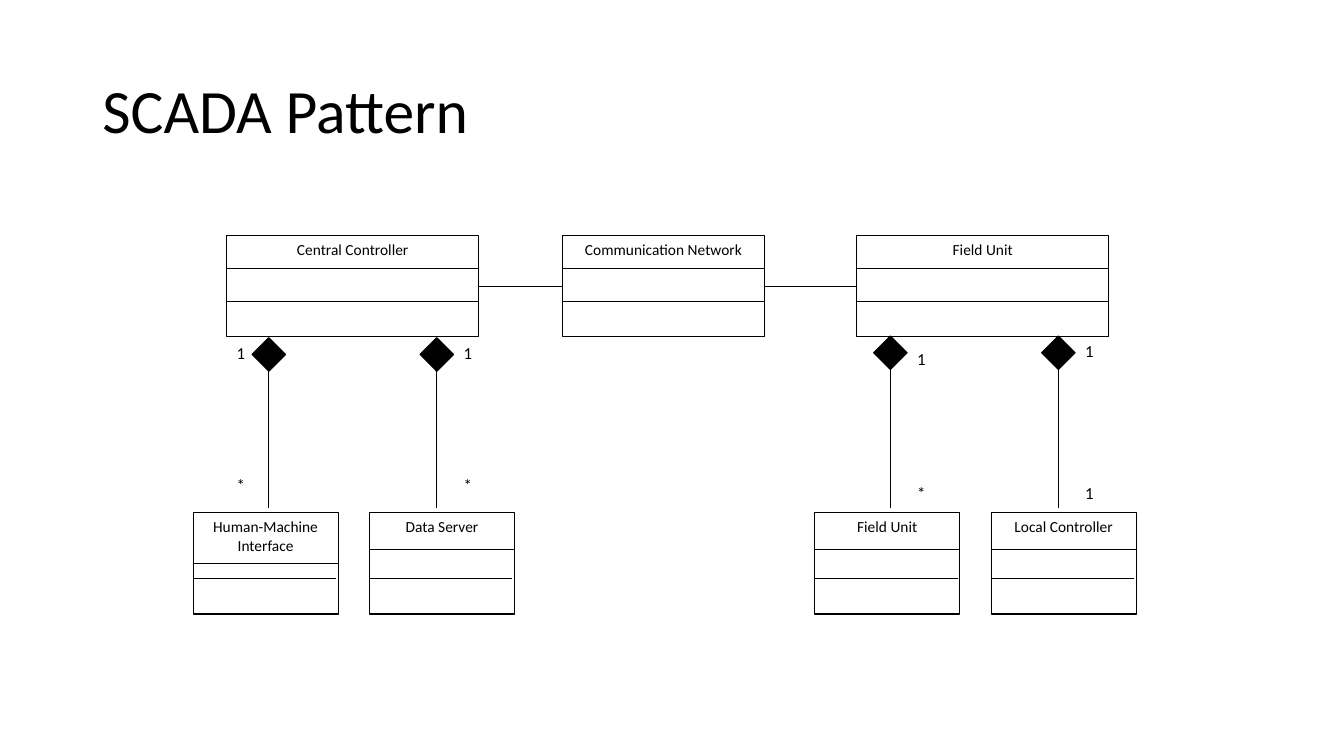
"""Builds the SCADA pattern class diagram on a grid of twelfths of an inch."""
from pptx import Presentation
from pptx.dml.color import RGBColor
from pptx.enum.shapes import MSO_CONNECTOR as Link, MSO_SHAPE as Shape
from pptx.enum.text import MSO_ANCHOR as Anchor, PP_ALIGN as Align
from pptx.oxml.ns import qn
from pptx.util import Inches, Pt
from lxml.etree import SubElement

TITLE = "SCADA Pattern"
FONT, INK = "Calibri", "000000"
COLUMNS, ROWS, CELL = 160, 90, Inches(1) / 12

BOX_HEIGHT, SECOND_DIVIDER = 12.1, 7.9
UPPER_TOP, LOWER_TOP, LINK_ROW = 28, 61, 34.1
DIAMOND, STEM_END, MARK_WIDTH, MARK_HEIGHT = 4, 60.5, 3, 3.7

# name, left, width, first divider, width of second divider
UPPER_CLASSES = [
    ("Central Controller", 27, 30, 4, 30),
    ("Communication Network", 67, 24, 4, 24),
    ("Field Unit", 102, 30, 4, 30),
]
LOWER_CLASSES = [
    ("Human-Machine Interface", 23, 17.25, 6.1, 17),
    ("Data Server", 44, 17.25, 4.4, 17),
    ("Field Unit", 97, 17.25, 4.4, 17),
    ("Local Controller", 118, 17.25, 4.4, 17),
]
# diamond left, diamond top, mark left, (upper mark, top), (lower mark, top)
COMPOSITIONS = [
    (30, 40.2, 27, ("1", 40.2), ("*", 55.9)),
    (50, 40.2, 54, ("1", 40.2), ("*", 55.9)),
    (104, 40, 108, ("1", 40.9), ("*", 56.9)),
    (124, 40, 128, ("1", 40), ("1", 56.9)),
]


def cells(*counts):
    return [round(count * CELL) for count in counts]


def color(value):
    return RGBColor.from_string(value)


def write(frame, text, size=12, align=Align.LEFT, anchor=Anchor.TOP, spacing=1.0):
    frame.word_wrap = True
    frame.vertical_anchor = anchor
    para = frame.paragraphs[0]
    para.alignment, para.line_spacing = align, spacing
    span = para.add_run()
    span.text = text
    span.font.name, span.font.size = FONT, Pt(size)
    span.font.color.rgb = color(INK)


def add_label(page, text, left, top, width, height, **style):
    label = page.shapes.add_textbox(*cells(left, top, width, height))
    write(label.text_frame, text, **style)


def add_outline(page, kind, left, top, width, height, fill=None):
    box = page.shapes.add_shape(kind, *cells(left, top, width, height))
    box.shadow.inherit = False
    if fill:
        box.fill.solid()
        box.fill.fore_color.rgb = color(fill)
    else:
        box.fill.background()
    box.line.color.rgb = color(INK)
    box.line.width = Pt(0.75)


def add_line(page, left, top, right, bottom):
    line = page.shapes.add_connector(Link.STRAIGHT, *cells(left, top, right, bottom))
    line.line.color.rgb = color(INK)
    line.line.width = Pt(0.5)
    SubElement(line._element.spPr, qn("a:effectLst"))


def add_class(page, top, name, left, width, first, second_width):
    add_outline(page, Shape.RECTANGLE, left, top, width, BOX_HEIGHT)
    add_label(page, name, left, top, width, first, size=11, align=Align.CENTER)
    add_line(page, left, top + first, left + width, top + first)
    second = top + SECOND_DIVIDER
    add_line(page, left, second, left + second_width, second)


def add_composition(page, left, top, mark_left, *marks):
    add_outline(page, Shape.FLOWCHART_DECISION, left, top, DIAMOND, DIAMOND, fill=INK)
    middle = left + DIAMOND / 2
    add_line(page, middle, top + DIAMOND, middle, STEM_END)
    for mark, mark_top in marks:
        add_label(page, mark, mark_left, mark_top, MARK_WIDTH, MARK_HEIGHT)


def main():
    deck = Presentation()
    deck.slide_width, deck.slide_height = cells(COLUMNS, ROWS)
    page = deck.slides.add_slide(deck.slide_layouts[5])
    title = page.shapes.title
    title.left, title.top, title.width, title.height = cells(11, 4.8, 138, 17.4)
    write(title.text_frame, TITLE, size=44, anchor=Anchor.MIDDLE, spacing=0.9)

    for top, classes in ((UPPER_TOP, UPPER_CLASSES), (LOWER_TOP, LOWER_CLASSES)):
        for entry in classes:
            add_class(page, top, *entry)
    for before, after in zip(UPPER_CLASSES, UPPER_CLASSES[1:]):
        add_line(page, before[1] + before[2], LINK_ROW, after[1], LINK_ROW)
    for composition in COMPOSITIONS:
        add_composition(page, *composition)
    deck.save("out.pptx")


if __name__ == "__main__":
    main()
